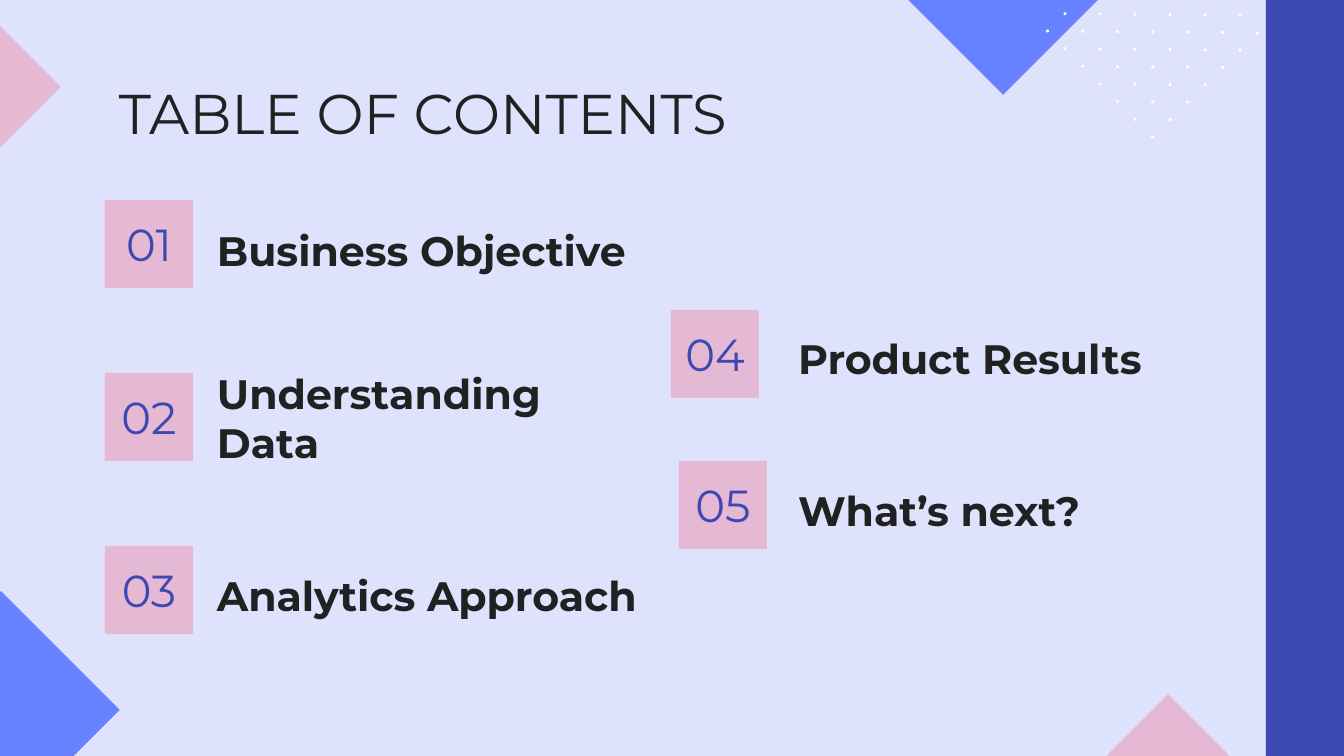
from pptx import Presentation
from pptx.dml.color import RGBColor
from pptx.enum.shapes import MSO_SHAPE as SHAPE
from pptx.enum.text import MSO_ANCHOR as ANCHOR, PP_ALIGN as ALIGN
from pptx.util import Pt

PX = 914400 / 134.4
LAVENDER = RGBColor(0xDE, 0xE2, 0xFD)
BLUE = RGBColor(0x68, 0x81, 0xFE)
INDIGO = RGBColor(0x3C, 0x49, 0xB2)
PINK = RGBColor(0xE5, 0xB8, 0xD3)
WHITE = RGBColor(0xFF, 0xFF, 0xFF)
INK = RGBColor(0x21, 0x21, 0x21)

TITLE = {"size": Pt(30), "bold": False}
NUMBER = {"size": Pt(24), "bold": False}
CAPTION = {"size": Pt(22), "bold": True}


def add_shape(shapes, kind, box, color, rotation=0):
    sp = shapes.add_shape(kind, *[round(v * PX) for v in box])
    sp.shadow.inherit = False
    sp.fill.solid()
    sp.fill.fore_color.rgb = color
    sp.line.fill.background()
    sp.rotation = rotation
    return sp


def set_text(sp, text, font, color, anchor, align=ALIGN.LEFT):
    tf = sp.text_frame
    frame = {"word_wrap": True, "vertical_anchor": anchor}
    for side in ("left", "top", "right", "bottom"):
        frame[f"margin_{side}"] = round(13 * PX)
    for name, value in frame.items():
        setattr(tf, name, value)
    p = tf.paragraphs[0]
    p.alignment = align
    r = p.add_run()
    r.text = text
    for name, value in {"name": "Montserrat", **font}.items():
        setattr(r.font, name, value)
    r.font.color.rgb = color


prs = Presentation()
prs.slide_width = round(1344 * PX)
prs.slide_height = round(756 * PX)
s = prs.slides.add_slide(prs.slide_layouts[6])
s.background.fill.solid()
s.background.fill.fore_color.rgb = LAVENDER

for x, y, size, color in [(919, -108, 168, BLUE), (1125, 712, 86, PINK),
                          (-83, 626, 168, BLUE), (-43, 44, 86, PINK)]:
    add_shape(s.shapes, SHAPE.RECTANGLE, (x, y, size, size), color, 45)
add_shape(s.shapes, SHAPE.RECTANGLE, (1266, 0, 78, 756), INDIGO)

dots = s.shapes.add_group_shape()
for row, count in enumerate([6, 7, 6, 5, 4, 3, 2, 1]):
    for i in range(count):
        step = abs(row - 1) + 2 * i
        box = (1046 + 17.5 * step, 12 + 17.5 * row + 0.15 * step, 3, 3)
        add_shape(dots.shapes, SHAPE.OVAL, box, WHITE)

sp = s.shapes.add_textbox(*[round(v * PX) for v in (106, 66, 1133, 98)])
set_text(sp, "TABLE OF CONTENTS", TITLE, INK, ANCHOR.TOP)

sections = [
    ("Business Objective", 105, 200, 204, 202, 440),
    ("Understanding Data", 105, 373, 204, 394, 440),
    ("Analytics Approach", 105, 546, 204, 547, 532),
    ("Product Results", 671, 310, 785, 310, 440),
    ("What’s next?", 679, 461, 785, 462, 440),
]
for n, (text, badge_x, badge_y, x, y, width) in enumerate(sections, 1):
    sp = s.shapes.add_textbox(*[round(v * PX) for v in (x, y, width, 86)])
    set_text(sp, text, CAPTION, INK, ANCHOR.BOTTOM)
    sp = add_shape(s.shapes, SHAPE.RECTANGLE, (badge_x, badge_y, 88, 88), PINK)
    set_text(sp, f"{n:02}", NUMBER, INDIGO, ANCHOR.MIDDLE, ALIGN.CENTER)

prs.save("out.pptx")
